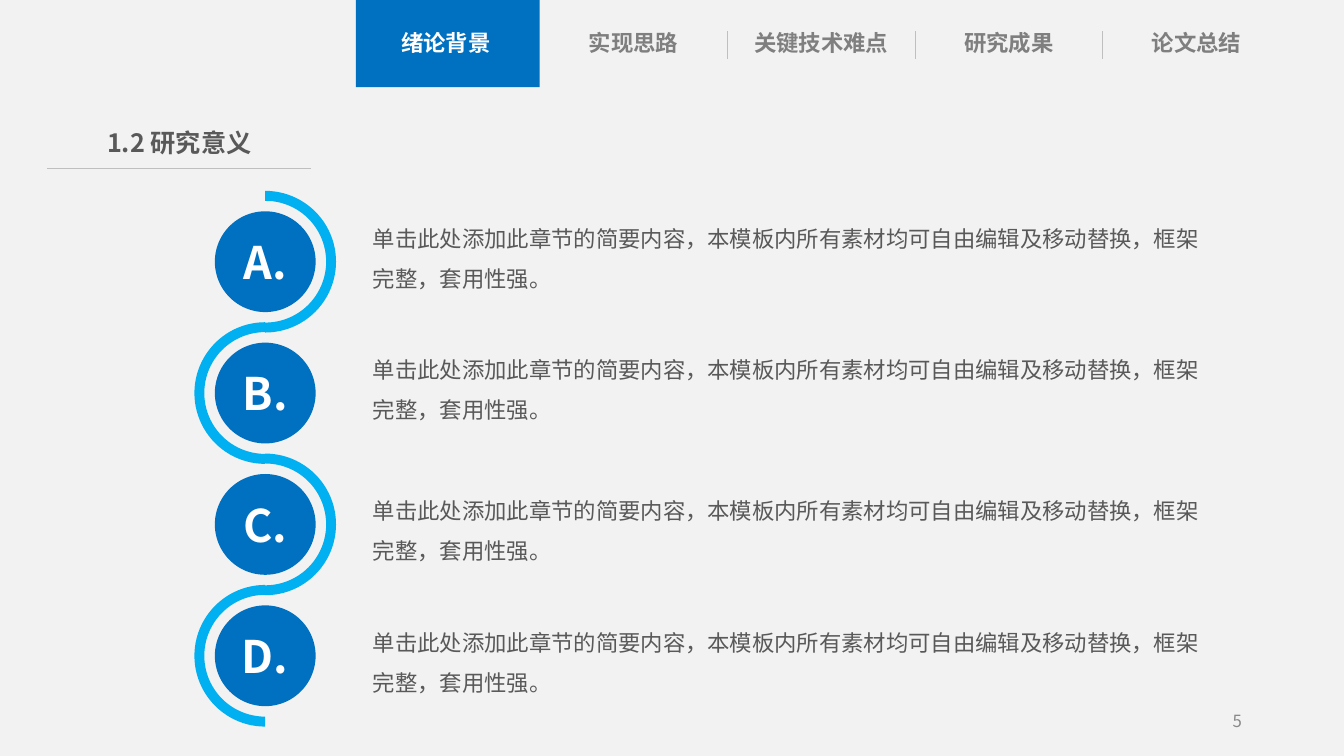
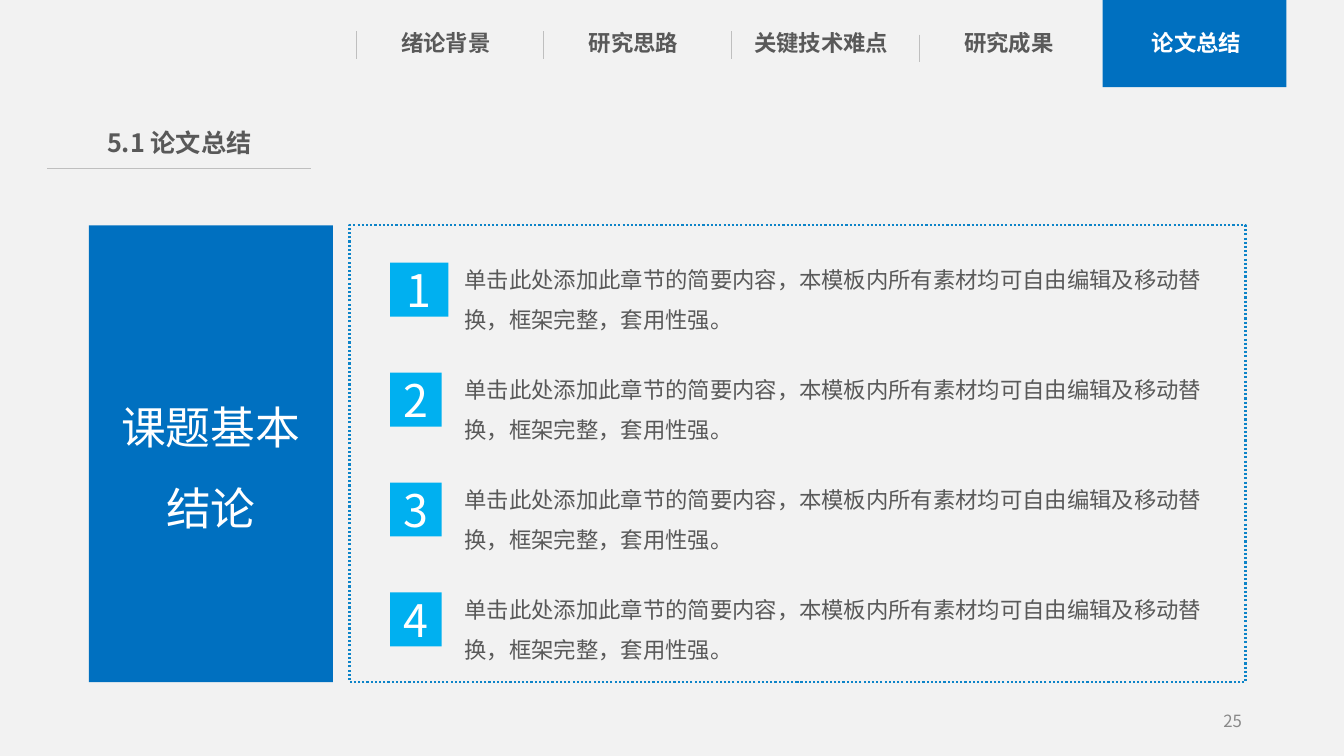
import lxml.etree
import pptx
import pptx.dml.color
import pptx.enum.dml
import pptx.enum.shapes
import pptx.enum.text
import pptx.oxml.ns
import pptx.util

Cm = pptx.util.Cm
Pt = pptx.util.Pt
SHAPE = pptx.enum.shapes.MSO_SHAPE
ALIGN = pptx.enum.text.PP_ALIGN
ANCHOR = pptx.enum.text.MSO_ANCHOR

FONT = "Noto Sans CJK SC"
BLUE = "0070C0"
SKY = "00B0F0"
DOTTED = "0D84C8"
BACKGROUND = "F2F2F2"
RULE = "BFBFBF"
DARK = "595959"
MUTED = "7F7F7F"
NUMBER = "898989"
WHITE = "FFFFFF"

SUMMARY = "单击此处添加此章节的简要内容，本模板内所有素材均可自由编辑及移动替换，框架完整，套用性强。"
TAB_PITCH = 4.73
TAB_SIZE = (4.63, 2.2)


def colour(value):
    return pptx.dml.color.RGBColor.from_string(value)


def write(shape, text, size, ink, bold=False, align=ALIGN.LEFT,
          anchor=ANCHOR.TOP, spacing=None, insets=None):
    frame = shape.text_frame
    frame.word_wrap = True
    frame.vertical_anchor = anchor
    if insets is not None:
        frame.margin_left = frame.margin_right = Cm(insets[0])
        frame.margin_top = frame.margin_bottom = Cm(insets[1])
    frame.text = text
    for para in frame.paragraphs:
        para.alignment = align
        if spacing:
            para.line_spacing = spacing
        for span in para.runs:
            span.font.size = Pt(size)
            span.font.bold = bold
            span.font.name = FONT
            span.font.color.rgb = colour(ink)
            east_asian = lxml.etree.SubElement(
                span._r.get_or_add_rPr(), pptx.oxml.ns.qn("a:ea"))
            east_asian.set("typeface", FONT)


def add_text(page, box, text, size, ink, **style):
    shape = page.shapes.add_textbox(*map(Cm, box))
    write(shape, text, size, ink, **style)


def add_block(page, kind, box, fill=None):
    shape = page.shapes.add_shape(kind, *map(Cm, box))
    shape.shadow.inherit = False
    shape.line.fill.background()
    if fill:
        shape.fill.solid()
        shape.fill.fore_color.rgb = colour(fill)
    else:
        shape.fill.background()
    return shape


def add_rule(page, left, top, right, bottom):
    rule = page.shapes.add_connector(
        pptx.enum.shapes.MSO_CONNECTOR.STRAIGHT, *map(Cm, (left, top, right, bottom)))
    rule.line.color.rgb = colour(RULE)
    rule.line.width = Pt(0.5)
    lxml.etree.SubElement(rule._element.spPr, pptx.oxml.ns.qn("a:effectLst"))


def add_navigation(page, left, labels, active, active_left, ink, dividers):
    add_block(page, SHAPE.RECTANGLE, (active_left, 0, *TAB_SIZE), BLUE)
    for divider_left, divider_top in dividers:
        add_rule(page, divider_left, divider_top, divider_left, divider_top + 0.69)
    for index, label in enumerate(labels):
        add_text(page, (left + index * TAB_PITCH, 0.61, 3.73, 0.96), label, 16,
                 WHITE if index == active else ink, bold=True,
                 align=ALIGN.CENTER, insets=(0, 0.13))


def add_heading(page, left, top, text):
    add_text(page, (left, top, 6.66, 1.07), text, 18, DARK, bold=True,
             align=ALIGN.CENTER, insets=(0, 0.13))
    add_rule(page, left, top + 1.17, left + 6.66, top + 1.17)


def add_page(deck, heading, number, **navigation):
    page = deck.slides.add_slide(deck.slide_layouts[6])
    page.background.fill.solid()
    page.background.fill.fore_color.rgb = colour(BACKGROUND)
    add_navigation(page, 9.37, **navigation)
    add_heading(page, 1.19, 3.07, heading)
    add_text(page, (23.93, 17.65, 7.62, 1.02), number, 12, NUMBER,
             align=ALIGN.RIGHT, anchor=ANCHOR.MIDDLE)
    return page


def add_winding_list(page, left, top, letters):
    ring, disc, pitch = 3.57, 2.54, 3.31
    margin = (ring - disc) / 2
    for index, letter in enumerate(letters):
        row_top = top + index * pitch
        arc = add_block(page, SHAPE.BLOCK_ARC, (left, row_top, ring, ring), SKY)
        arc.adjustments[0], arc.adjustments[1] = (54, 162) if index % 2 else (162, 54)
        arc.adjustments[2] = 0.07
        circle = add_block(page, SHAPE.OVAL,
                           (left + margin, row_top + margin, disc, disc), BLUE)
        write(circle, letter, 32, WHITE, bold=True, align=ALIGN.CENTER,
              anchor=ANCHOR.MIDDLE)
        shift = 0.25 if index >= 2 else 0
        add_text(page, (left + 4.5, row_top + margin + shift, 21.03, 2.06),
                 SUMMARY, 16, DARK, spacing=1.5, insets=(0, 0))


def add_conclusion(page, left, top, title, count):
    height, pitch = 11.51, 2.77
    panel = add_block(page, SHAPE.RECTANGLE, (left, top, 6.15, height), BLUE)
    write(panel, title, 32, WHITE, align=ALIGN.CENTER, anchor=ANCHOR.MIDDLE, spacing=1.5)
    border = add_block(page, SHAPE.RECTANGLE, (left + 6.57, top, 22.58, height))
    border.line.color.rgb = colour(DOTTED)
    border.line.width = Pt(1.5)
    border.line.dash_style = pptx.enum.dml.MSO_LINE.ROUND_DOT
    for index in range(count):
        row_top = top + 0.94 + index * pitch
        width = 1.3 if index else 1.47
        square = add_block(page, SHAPE.RECTANGLE,
                           (left + 7.59, row_top, width, 1.36), SKY)
        write(square, str(index + 1), 32, WHITE, align=ALIGN.CENTER,
              anchor=ANCHOR.MIDDLE)
        add_text(page, (left + 9.22, row_top - 0.38, 19.4, 2.31),
                 SUMMARY, 16, DARK, spacing=1.5)


def build_significance(deck):
    page = add_page(
        deck, "1.2 研究意义", "5",
        labels=("绪论背景", "实现思路", "关键技术难点", "研究成果", "论文总结"),
        active=0, active_left=8.97, ink=MUTED,
        dividers=[(18.33 + index * TAB_PITCH, 0.79) for index in range(3)])
    add_winding_list(page, 4.9, 4.81, ("A.", "B.", "C.", "D."))


def build_summary(deck):
    page = add_page(
        deck, "5.1 论文总结", "25",
        labels=("绪论背景", "研究思路", "关键技术难点", "研究成果", "论文总结"),
        active=4, active_left=27.79, ink=DARK,
        dividers=[(8.97 + index * TAB_PITCH, 0.87 if index == 3 else 0.79)
                  for index in range(4)])
    add_conclusion(page, 2.24, 5.68, "课题基本\n结论", 4)


def main():
    deck = pptx.Presentation()
    deck.slide_width = Cm(33.87)
    deck.slide_height = Cm(19.05)
    build_significance(deck)
    build_summary(deck)
    deck.save("out.pptx")


if __name__ == "__main__":
    main()
